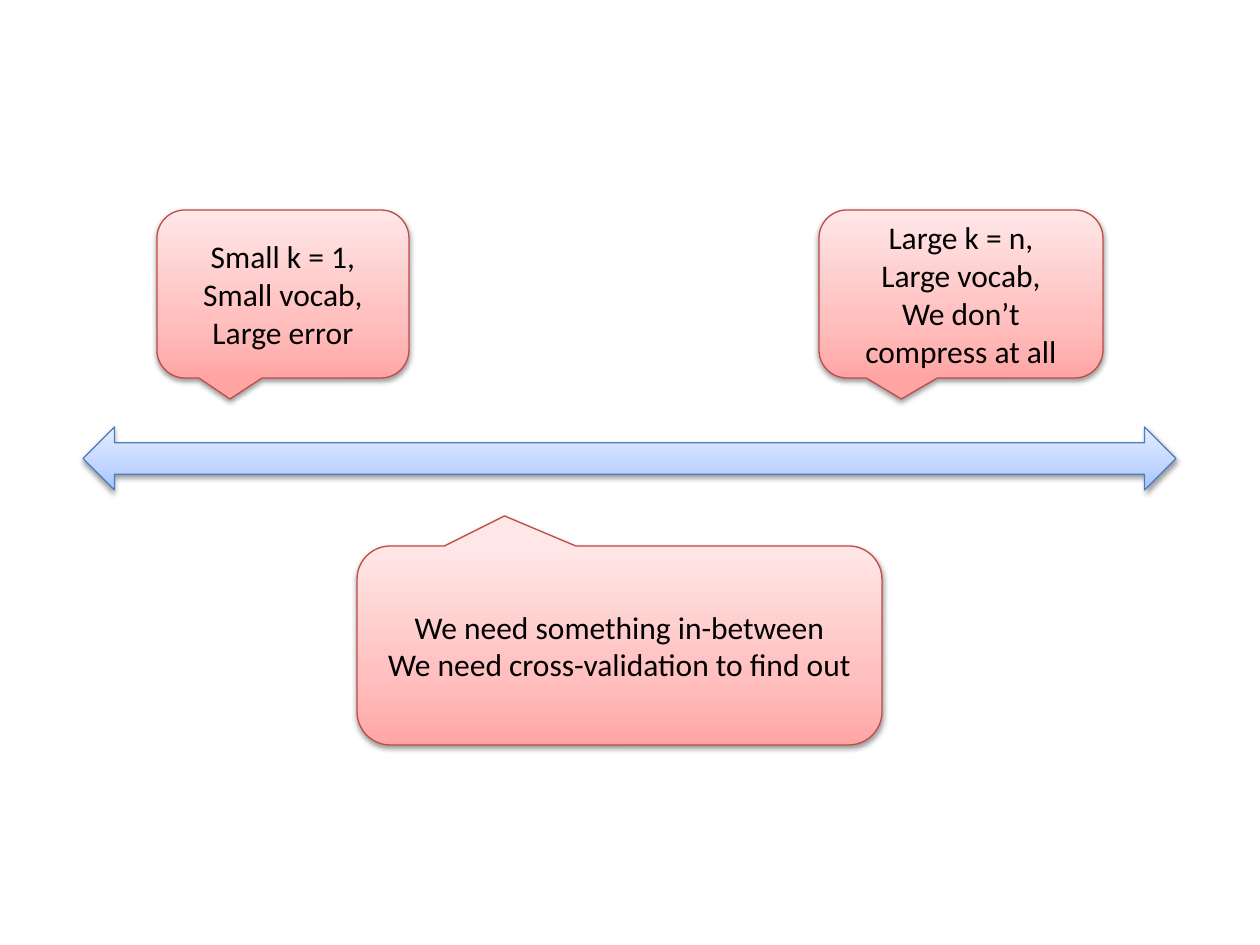
from pptx import Presentation
from pptx.dml.color import RGBColor
from pptx.enum.shapes import MSO_SHAPE
from pptx.enum.text import MSO_ANCHOR, PP_ALIGN
from pptx.oxml import parse_xml
from pptx.oxml.ns import nsdecls
from pptx.util import Emu, Pt

COLORS = {
    "text": "000000",
    "shadow": "000000",
    "red_line": "BF4C48",
    "blue_line": "4B7EBC",
}
GRADIENTS = {
    "red": [(0, "FFA6A5"), (35, "FFC0BF"), (100, "FFE7E7")],
    "blue": [(0, "A4C4FF"), (35, "BFD4FF"), (100, "E6EEFF")],
}
SMALL_K = ["Small k = 1,", "Small vocab,", "Large error"]
LARGE_K = ["Large k = n,", "Large vocab,", "We don’t compress at all"]
BETWEEN = ["We need something in-between", "We need cross-validation to find out"]

CALLOUT = MSO_SHAPE.ROUNDED_RECTANGULAR_CALLOUT
POINT_DOWN = (-0.21, 0.625, 0.167)
POINT_UP = (-0.219, -0.651, 0.167)
SHAPES = [
    (CALLOUT, (157, 210, 252, 168), "red", POINT_DOWN, SMALL_K),
    (CALLOUT, (819, 210, 284, 168), "red", POINT_DOWN, LARGE_K),
    (MSO_SHAPE.LEFT_RIGHT_ARROW, (83, 427, 1093, 63), "blue", (), []),
    (CALLOUT, (357, 546, 525, 199), "red", POINT_UP, BETWEEN),
]
EMU_PER_PX = 914400 / 126


def px(length):
    return Emu(round(length * EMU_PER_PX))


def add_gradient(shape, stops):
    stop_xml = "".join(
        f'<a:gs pos="{position * 1000}"><a:srgbClr val="{color}"/></a:gs>'
        for position, color in stops
    )
    gradient = parse_xml(
        f'<a:gradFill {nsdecls("a")} rotWithShape="1"><a:gsLst>{stop_xml}</a:gsLst>'
        '<a:lin ang="16200000" scaled="0"/></a:gradFill>'
    )
    shape._element.spPr.prstGeom.addnext(gradient)


def add_shadow(shape):
    shape.shadow.inherit = False
    effects = shape._element.spPr.find("{*}effectLst")
    effects.append(parse_xml(
        f'<a:outerShdw {nsdecls("a")} blurRad="{Pt(3.1)}" dist="{Pt(1.6)}" '
        'dir="5400000" rotWithShape="0">'
        f'<a:srgbClr val="{COLORS["shadow"]}"><a:alpha val="38000"/></a:srgbClr>'
        '</a:outerShdw>'
    ))


def add_text(shape, lines):
    frame = shape.text_frame
    frame.word_wrap = True
    frame.vertical_anchor = MSO_ANCHOR.MIDDLE
    frame.text = "\n".join(lines)
    for para in frame.paragraphs:
        para.alignment = PP_ALIGN.CENTER
        para.font.name = "Calibri"
        para.font.size = Pt(18)
        para.font.color.rgb = RGBColor.from_string(COLORS["text"])


def add_figure(page, kind, place, tone, adjustments, lines):
    shape = page.shapes.add_shape(kind, *map(px, place))
    for index, value in enumerate(adjustments):
        shape.adjustments[index] = value
    add_gradient(shape, GRADIENTS[tone])
    shape.line.color.rgb = RGBColor.from_string(COLORS[f"{tone}_line"])
    shape.line.width = Pt(0.75)
    add_shadow(shape)
    if lines:
        add_text(shape, lines)


def main():
    deck = Presentation()
    deck.slide_width, deck.slide_height = px(1260), px(945)
    page = deck.slides.add_slide(deck.slide_layouts[6])
    for figure in SHAPES:
        add_figure(page, *figure)
    deck.save("out.pptx")


if __name__ == "__main__":
    main()
